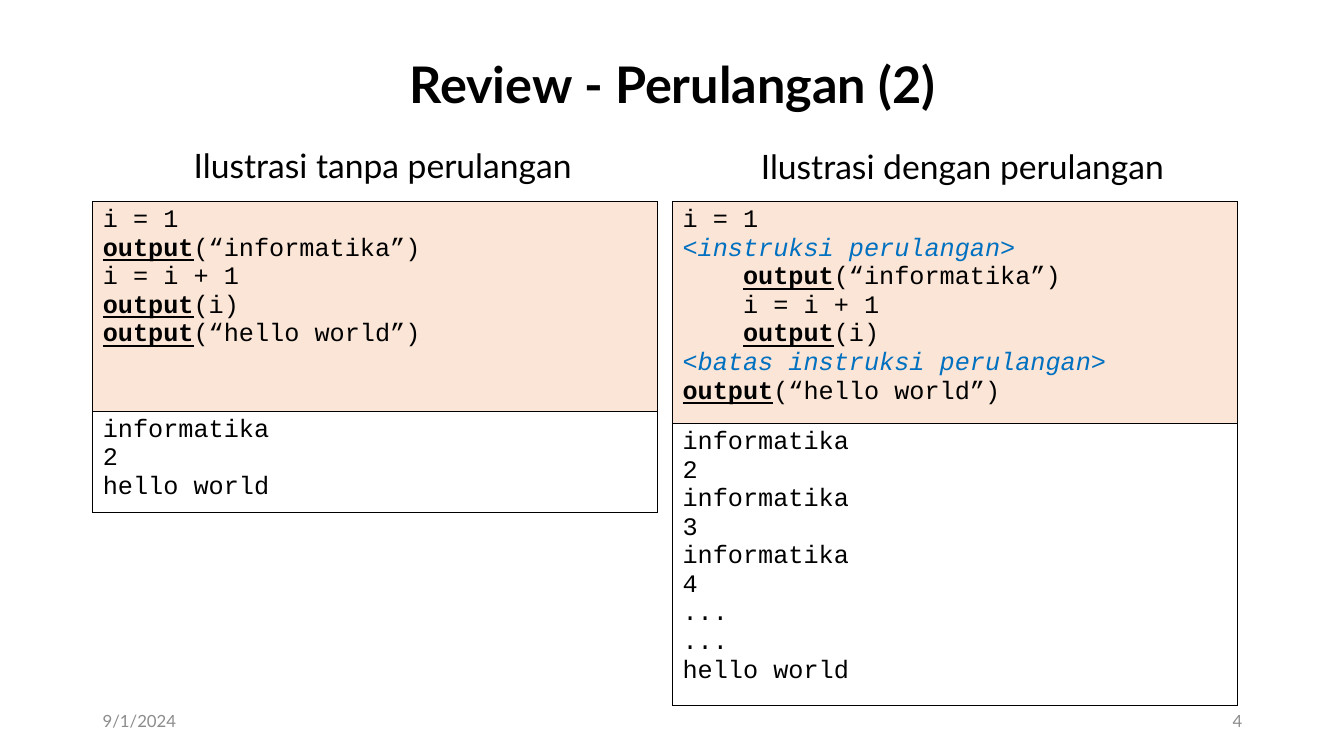
from lxml import etree
from pptx import Presentation
from pptx.dml.color import RGBColor
from pptx.enum.text import MSO_ANCHOR, PP_ALIGN
from pptx.oxml.ns import qn
from pptx.util import Pt

LEFT, CENTER, RIGHT = PP_ALIGN.LEFT, PP_ALIGN.CENTER, PP_ALIGN.RIGHT
TOP, MIDDLE = MSO_ANCHOR.TOP, MSO_ANCHOR.MIDDLE
EMU_PER_PX = 9144
KEYWORD = "output"


def px(length):
    return length * EMU_PER_PX


def color(hex_code):
    return RGBColor.from_string(hex_code)


class SlideBuilder:
    text_font, code_font = "Lato", "Courier New"
    black, gray, blue, peach = "000000", "8C8C8C", "0070C0", "FBE5D6"
    code_size = 18
    indent = 60

    def __init__(self, deck):
        self.page = deck.slides.add_slide(deck.slide_layouts[6])

    def style(self, span, font, size, hex_code, bold=False):
        span.font.name = font
        span.font.size = Pt(size)
        span.font.color.rgb = color(hex_code)
        span.font.bold = bold

    def text(self, words, left, top, width, height, size, align=CENTER,
             anchor=MIDDLE, hex_code=black, bold=False, spacing=1.0):
        box = self.page.shapes.add_textbox(px(left), px(top), px(width), px(height))
        frame = box.text_frame
        frame.word_wrap = True
        frame.vertical_anchor = anchor
        frame.text = words
        para = frame.paragraphs[0]
        para.alignment = align
        para.line_spacing = spacing
        self.style(para.runs[0], self.text_font, size, hex_code, bold)

    def code_line(self, para, line):
        """A leading tab indents, the keyword is bold, <...> is a placeholder."""
        if line.startswith("\t"):
            para._p.get_or_add_pPr().set("marL", str(px(self.indent)))
            line = line.lstrip("\t")
        has_keyword = line.startswith(KEYWORD)
        parts = [KEYWORD, line[len(KEYWORD):]] if has_keyword else [line]
        is_placeholder = line.startswith("<")
        for part in parts:
            span = para.add_run()
            span.text = part
            is_keyword = part == KEYWORD
            self.style(span, self.code_font, self.code_size,
                       self.blue if is_placeholder else self.black, is_keyword)
            span.font.underline = is_keyword
            span.font.italic = is_placeholder

    def borders(self, cell):
        properties = cell._tc.get_or_add_tcPr()
        for position, side in enumerate(("lnL", "lnR", "lnT", "lnB")):
            line = etree.Element(qn("a:" + side), w=str(Pt(1)))
            fill = etree.SubElement(line, qn("a:solidFill"))
            etree.SubElement(fill, qn("a:srgbClr"), val=self.black)
            properties.insert(position, line)

    def code_table(self, left, top, width, blocks, heights):
        """One column: the program on a tinted row, its output below."""
        frame = self.page.shapes.add_table(len(blocks), 1, px(left), px(top),
                                           px(width), px(sum(heights)))
        table = frame.table
        table.first_row = table.horz_banding = False
        for row, (lines, height) in enumerate(zip(blocks, heights)):
            table.rows[row].height = px(height)
            cell = table.cell(row, 0)
            if row == 0:
                cell.fill.solid()
                cell.fill.fore_color.rgb = color(self.peach)
            else:
                cell.fill.background()
            self.borders(cell)
            for number, line in enumerate(lines):
                paras = cell.text_frame
                para = paras.add_paragraph() if number else paras.paragraphs[0]
                self.code_line(para, line)


EXAMPLES = [
    ("Ilustrasi tanpa perulangan", 143, 95,
     ["i = 1", "output(“informatika”)", "i = i + 1", "output(i)",
      "output(“hello world”)"],
     ["informatika", "2", "hello world"]),
    ("Ilustrasi dengan perulangan", 144, 265,
     ["i = 1", "<instruksi perulangan>", "\toutput(“informatika”)",
      "\ti = i + 1", "\toutput(i)", "<batas instruksi perulangan>",
      "output(“hello world”)"],
     ["informatika", "2", "informatika", "3", "informatika", "4",
      "...", "...", "hello world"]),
]


def main():
    deck = Presentation()
    deck.slide_width, deck.slide_height = px(1333), px(750)
    slide = SlideBuilder(deck)
    margin, column = 92, 575
    slide.text("Review - Perulangan (2)", margin, 40, 2 * column, 92, 36,
               bold=True, spacing=0.9)
    for index, (heading, top, result_height, program, result) in enumerate(EXAMPLES):
        left = margin + index * column
        slide.text(heading, left, top, column, 57, 24, anchor=TOP, spacing=0.9)
        slide.code_table(left, 200, 560, [program, result], [208, result_height])
    for words, left, align in (("9/1/2024", margin, LEFT), ("4", 942, RIGHT)):
        slide.text(words, left, 695, 300, 40, 12, align, hex_code=slide.gray)
    deck.save("out.pptx")


if __name__ == "__main__":
    main()
